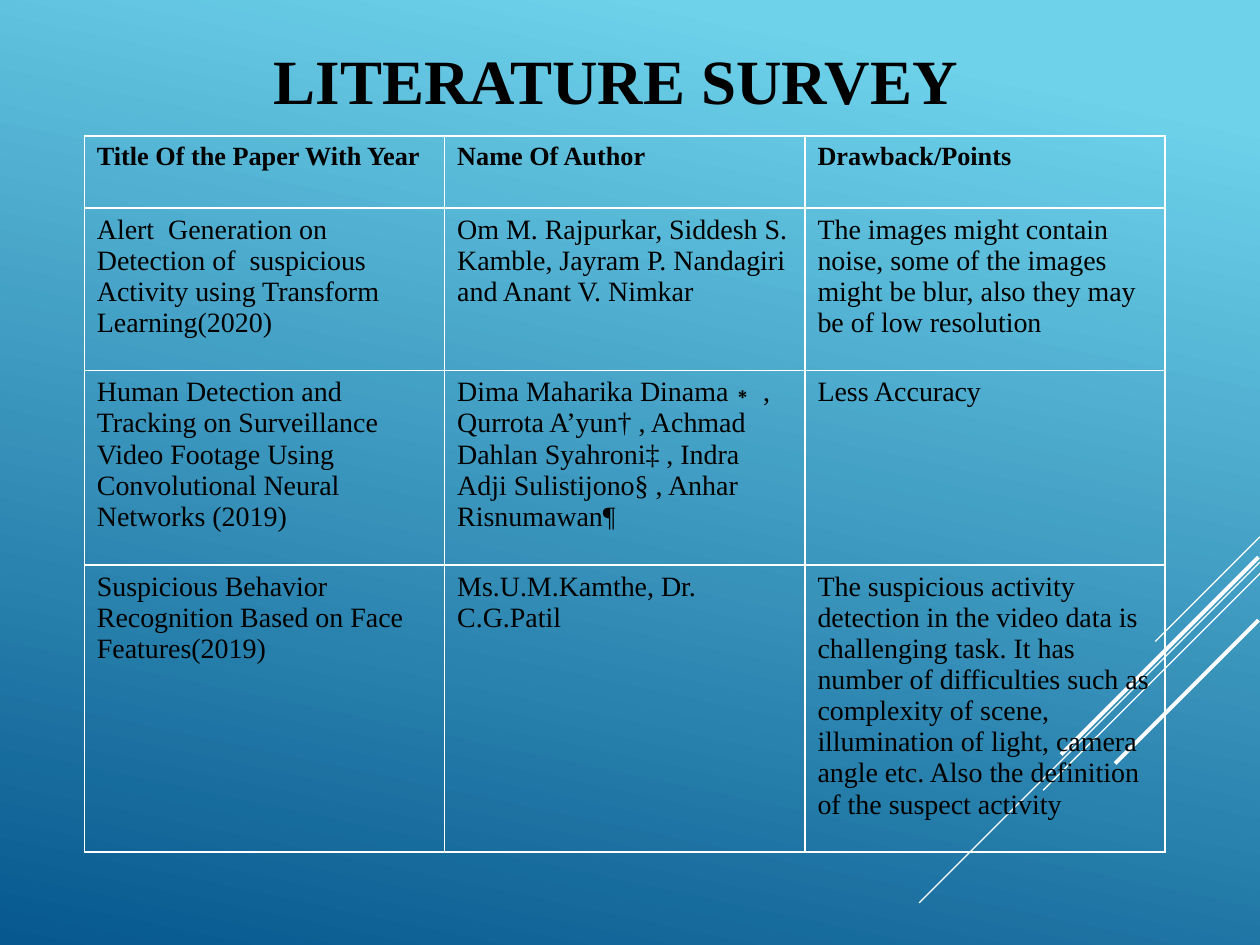
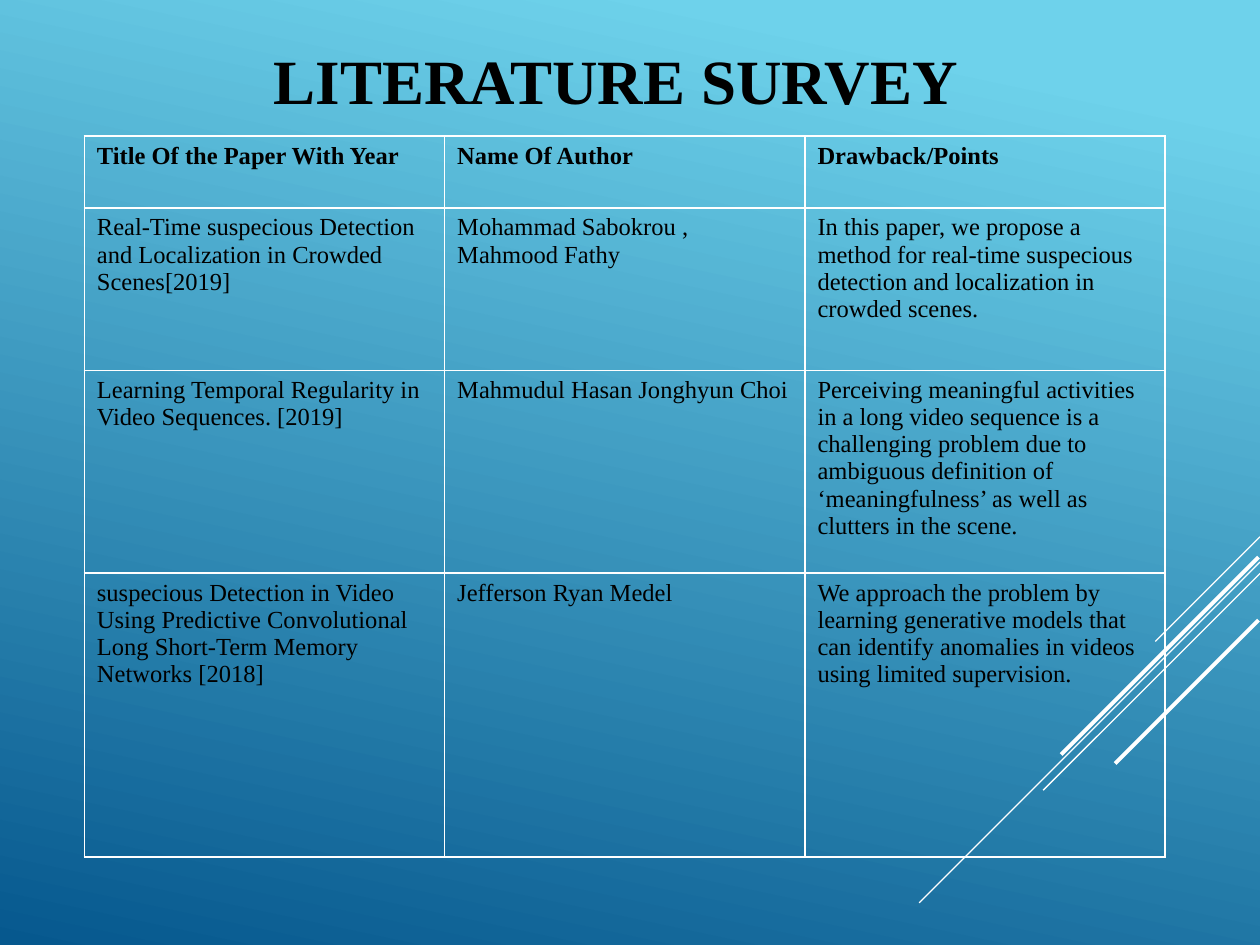
from lxml import etree
from pptx import Presentation
from pptx.dml.color import RGBColor
from pptx.enum.shapes import MSO_CONNECTOR
from pptx.enum.text import MSO_ANCHOR, PP_ALIGN
from pptx.oxml.ns import qn
from pptx.util import Cm, Pt

LINE = MSO_CONNECTOR.STRAIGHT
LEFT, CENTER = PP_ALIGN.LEFT, PP_ALIGN.CENTER
TOP, MIDDLE = MSO_ANCHOR.TOP, MSO_ANCHOR.MIDDLE

SKY = RGBColor(0x6E, 0xD2, 0xEB)
NAVY = RGBColor(0x06, 0x58, 0x8E)
WHITE = RGBColor(0xFF, 0xFF, 0xFF)
BLACK = RGBColor(0, 0, 0)
FONT = "Times New Roman"

# Boxes in cm: left, top, width, height
PAGE = (0, 0, 25.4, 19.05)
TITLE = (2.11, 0.43, 20.62, 2.34)
GRID = (1.7, 2.74, 21.79, 14.5)

HEADS = ["Title Of the Paper With Year", "Name Of Author", "Drawback/Points"]

# Each survey: head size, body size, row heights in cm, papers
SURVEYS = [
    (15, 16, [1.45, 3.28, 3.92, 5.79], [
        ["Alert  Generation on Detection of  suspicious Activity using "
         "Transform Learning(2020)",
         "Om M. Rajpurkar, Siddesh S. Kamble, Jayram P. Nandagiri and "
         "Anant V. Nimkar",
         "The images might contain noise, some of the images might be blur, "
         "also they may be of low resolution"],
        ["Human Detection and Tracking on Surveillance Video Footage Using "
         "Convolutional Neural Networks (2019)",
         "Dima Maharika Dinama∗ , Qurrota A’yun† , Achmad Dahlan Syahroni‡ , "
         "Indra Adji Sulistijono§ , Anhar Risnumawan¶",
         "Less Accuracy"],
        ["Suspicious Behavior Recognition Based on Face Features(2019)",
         "Ms.U.M.Kamthe, Dr. C.G.Patil",
         "The suspicious activity detection in the video data is challenging "
         "task. It has number of difficulties such as complexity of scene, "
         "illumination of light, camera angle etc. Also the definition of "
         "the suspect activity"],
    ]),
    (14, 14, [1.45, 3.28, 4.08, 5.73], [
        ["Real-Time suspecious Detection and Localization in Crowded "
         "Scenes[2019]",
         "Mohammad Sabokrou , Mahmood Fathy",
         "In this paper, we propose a method for real-time suspecious "
         "detection and localization in crowded scenes."],
        ["Learning Temporal Regularity in Video Sequences. [2019]",
         "Mahmudul Hasan Jonghyun Choi",
         "Perceiving meaningful activities in a long video sequence is a "
         "challenging problem due to ambiguous definition of "
         "‘meaningfulness’ as well as clutters in the scene."],
        ["suspecious Detection in Video Using Predictive Convolutional Long "
         "Short-Term Memory Networks [2018]",
         "Jefferson Ryan Medel",
         "We approach the problem by learning generative models that can "
         "identify anomalies in videos using limited supervision."],
    ]),
]

# Diagonal rays: inset from right edge, top, reach (cm), weight (pt)
RAYS = [
    (0, 10.82, 2.11, 0.75),
    (0, 11.33, 6.87, 0.75),
    (0, 11.56, 4.37, 0.75),
    (0.03, 11.23, 3.98, 2.25),
    (0.03, 12.5, 2.89, 2.25),
]


def write(frame, text, size, bold=False, align=LEFT, anchor=TOP):
    frame.word_wrap = True
    frame.vertical_anchor = anchor
    para = frame.paragraphs[0]
    para.alignment = align
    run = para.add_run()
    run.text = text
    font = run.font
    font.name, font.size, font.bold = FONT, Pt(size), bold
    font.color.rgb = BLACK


def paint(master):
    """Shared background, light at the top."""
    fill = master.background.fill
    fill.gradient()
    fill.gradient_angle = 258
    for stop, color, place in zip(fill.gradient_stops, (SKY, NAVY), (0.1, 1)):
        stop.color.rgb = color
        stop.position = place


def add_rays(slide, box):
    left, top, width, _ = box
    for inset, drop, reach, weight in RAYS:
        x, y = left + width - inset, top + drop
        ray = slide.shapes.add_connector(
            LINE, Cm(x), Cm(y), Cm(x - reach), Cm(y + reach))
        ray.line.color.rgb = WHITE
        ray.line.width = Pt(weight)
        etree.SubElement(ray._element.spPr, qn("a:effectLst"))


def add_title(slide, box, text):
    title = slide.shapes.title
    title.left, title.top, title.width, title.height = map(Cm, box)
    write(title.text_frame, text, 36, bold=True, align=CENTER, anchor=MIDDLE)


def frame_cell(cell):
    """White border on all sides, no fill."""
    props = cell._tc.get_or_add_tcPr()
    for side in "LRTB":
        edge = etree.SubElement(props, qn(f"a:ln{side}"), w=str(Pt(1)))
        fill = etree.SubElement(edge, qn("a:solidFill"))
        etree.SubElement(fill, qn("a:srgbClr"), val=str(WHITE))
    cell.fill.background()


def add_grid(slide, box, head, body, heights, papers):
    rows = [HEADS] + papers
    table = slide.shapes.add_table(len(rows), len(HEADS), *map(Cm, box)).table
    for col in table.columns:
        col.width = Cm(box[2] / len(HEADS))
    for r, (row, texts) in enumerate(zip(table.rows, rows)):
        row.height = Cm(heights[r])
        for cell, text in zip(row.cells, texts):
            frame_cell(cell)
            write(cell.text_frame, text, body if r else head, bold=r == 0)


def main():
    prs = Presentation()
    prs.slide_width, prs.slide_height = map(Cm, PAGE[2:])
    paint(prs.slide_master)
    plain = prs.slide_layouts.get_by_name("Title Only")
    for survey in SURVEYS:
        slide = prs.slides.add_slide(plain)
        add_rays(slide, PAGE)
        add_title(slide, TITLE, "LITERATURE SURVEY")
        add_grid(slide, GRID, *survey)
    prs.save("out.pptx")


if __name__ == "__main__":
    main()
